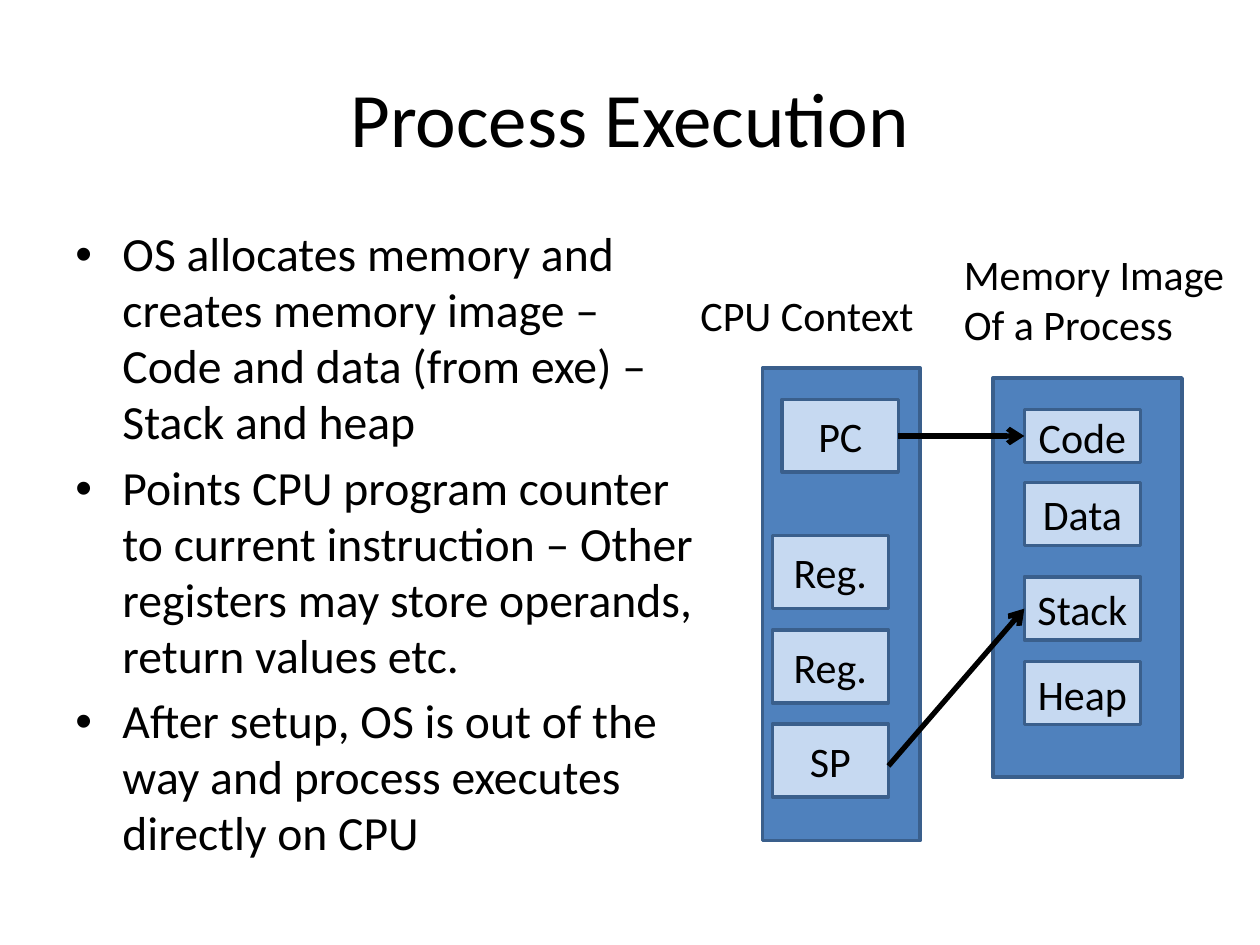
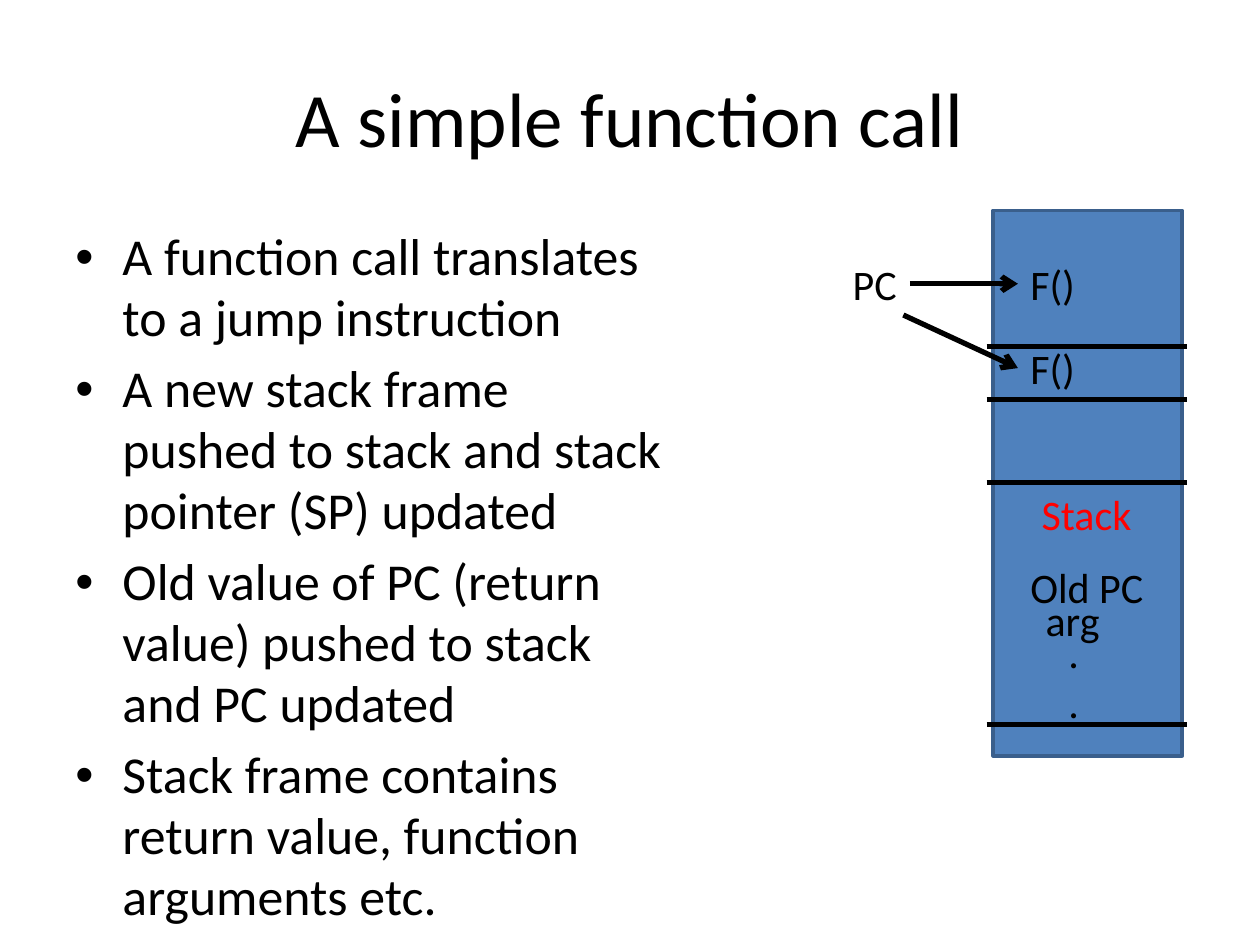
from dataclasses import dataclass

from lxml import etree
from pptx import Presentation
from pptx.dml.color import RGBColor
from pptx.enum.shapes import MSO_CONNECTOR, MSO_SHAPE
from pptx.enum.text import MSO_ANCHOR, MSO_AUTO_SIZE, PP_ALIGN
from pptx.oxml.ns import qn
from pptx.slide import Slide
from pptx.util import Cm, Pt

# Shared style
FONT = "Calibri"
BLACK, RED = "000000", "FF0000"
PANEL_FILL, CELL_FILL, OUTLINE = "4F81BD", "C6D9F1", "3A5F8C"
TITLE_SIZE, LABEL_SIZE = 44, 24
BULLET_INDENT = Cm(0.95)


# Repeated elements, all lengths in centimetres
@dataclass
class Box:
    left: float
    top: float
    width: float
    height: float
    text: str = ""
    fill: str = CELL_FILL


@dataclass
class Label:
    lines: list[str]
    left: float
    top: float
    width: float
    height: float = 1.27
    color: str = BLACK


@dataclass
class Line:
    x1: float
    y1: float
    x2: float
    y2: float
    arrow: bool = True


def rgb(color: str) -> RGBColor:
    return RGBColor.from_string(color)


def style(paragraph, size: float, color: str = BLACK) -> None:
    font = paragraph.font
    font.name, font.size = FONT, Pt(size)
    font.color.rgb = rgb(color)


def text_frame(slide: Slide, left: float, top: float, width: float, height: float):
    return slide.shapes.add_textbox(Cm(left), Cm(top), Cm(width), Cm(height)).text_frame


def add_title(slide: Slide, text: str) -> None:
    frame = text_frame(slide, 1.27, 0.76, 22.86, 3.18)
    frame.word_wrap = True
    frame.vertical_anchor = MSO_ANCHOR.MIDDLE
    frame.text = text
    heading = frame.paragraphs[0]
    heading.alignment = PP_ALIGN.CENTER
    style(heading, TITLE_SIZE)


def add_bullets(slide: Slide, points: list[str], width: float, size: float) -> None:
    frame = text_frame(slide, 1.27, 4.45, width, 12.57)
    frame.word_wrap = True
    frame.text = "\n".join(points)
    for point in frame.paragraphs:
        style(point, size)
        point.space_before = Pt(round(size * 0.2, 1))
        point.line_spacing = 0.98
        properties = point._p.get_or_add_pPr()
        properties.set("marL", str(BULLET_INDENT))
        properties.set("indent", str(-BULLET_INDENT))
        etree.SubElement(properties, qn("a:buFont")).set("typeface", "Arial")
        etree.SubElement(properties, qn("a:buChar")).set("char", "•")
        # The schema puts the bullet before the default run properties
        properties.append(properties.find(qn("a:defRPr")))


def add_box(slide: Slide, box: Box) -> None:
    rect = slide.shapes.add_shape(
        MSO_SHAPE.RECTANGLE, Cm(box.left), Cm(box.top), Cm(box.width), Cm(box.height)
    )
    rect.shadow.inherit = False
    rect.fill.solid()
    rect.fill.fore_color.rgb = rgb(box.fill)
    rect.line.color.rgb = rgb(OUTLINE)
    rect.line.width = Pt(2)
    if box.text:
        frame = rect.text_frame
        frame.word_wrap = False
        frame.vertical_anchor = MSO_ANCHOR.MIDDLE
        frame.text = box.text
        frame.paragraphs[0].alignment = PP_ALIGN.CENTER
        style(frame.paragraphs[0], LABEL_SIZE)


def add_label(slide: Slide, label: Label) -> None:
    frame = text_frame(slide, label.left, label.top, label.width, label.height)
    frame.word_wrap = False
    frame.auto_size = MSO_AUTO_SIZE.SHAPE_TO_FIT_TEXT
    frame.text = "\n".join(label.lines)
    for paragraph in frame.paragraphs:
        style(paragraph, LABEL_SIZE, label.color)


def add_line(slide: Slide, line: Line) -> None:
    connector = slide.shapes.add_connector(
        MSO_CONNECTOR.STRAIGHT, Cm(line.x1), Cm(line.y1), Cm(line.x2), Cm(line.y2)
    )
    connector.line.color.rgb = rgb(BLACK)
    connector.line.width = Pt(3)
    if line.arrow:
        outline = connector.line._get_or_add_ln()
        etree.SubElement(outline, qn("a:tailEnd")).set("type", "arrow")
    etree.SubElement(connector._element.spPr, qn("a:effectLst"))


def add_diagram(
    slide: Slide, boxes: list[Box], lines: list[Line], labels: list[Label]
) -> None:
    for box in boxes:
        add_box(slide, box)
    for line in lines:
        add_line(slide, line)
    for label in labels:
        add_label(slide, label)


deck = Presentation()
deck.slide_width, deck.slide_height = Cm(25.4), Cm(19.05)
blank = deck.slide_layouts[6]

# Slide 1: CPU context pointing into the memory image
execution = deck.slides.add_slide(blank)
add_title(execution, "Process Execution")
add_bullets(
    execution,
    [
        "OS allocates memory and creates memory image – Code and data (from exe) "
        "– Stack and heap",
        "Points CPU program counter to current instruction – Other registers may "
        "store operands, return values etc.",
        "After setup, OS is out of the way and process executes directly on CPU",
    ],
    width=13.13,
    size=27.2,
)
CELL_WIDTH, REGISTER_HEIGHT = 2.34, 1.47
memory_segments = [
    Box(20.65, top, CELL_WIDTH, height, name)
    for name, top, height in [
        ("Code", 8.26, 1.07),
        ("Data", 9.73, 1.27),
        ("Stack", 11.63, 1.27),
        ("Heap", 13.34, 1.27),
    ]
]
registers = [
    Box(15.57, 10.8 + 1.9 * row, CELL_WIDTH, REGISTER_HEIGHT, name)
    for row, name in enumerate(["Reg.", "Reg.", "SP"])
]
add_diagram(
    execution,
    boxes=[
        Box(20.02, 7.62, 3.81, 8.05, fill=PANEL_FILL),
        *memory_segments,
        Box(15.37, 7.42, 3.18, 9.53, fill=PANEL_FILL),
        Box(15.77, 8.05, CELL_WIDTH, REGISTER_HEIGHT, "PC"),
        *registers,
    ],
    lines=[Line(17.91, 15.44, 20.65, 12.27), Line(18.11, 8.79, 20.65, 8.79)],
    labels=[
        Label(["Memory Image", "Of a Process"], 19.18, 4.88, 5.82, 2.31),
        Label(["CPU Context"], 13.87, 5.72, 4.85),
    ],
)

# Slide 2: stack frame of a function call
function_call = deck.slides.add_slide(blank)
add_title(function_call, "A simple function call")
add_bullets(
    function_call,
    [
        "A function call translates to a jump instruction",
        "A new stack frame pushed to stack and stack pointer (SP) updated",
        "Old value of PC (return value) pushed to stack and PC updated",
        "Stack frame contains return value, function arguments etc.",
    ],
    width=12.5,
    size=29.6,
)
dividers = [Line(19.89, y, 23.93, y, arrow=False) for y in (6.99, 8.05, 9.73, 14.61)]
add_diagram(
    function_call,
    boxes=[Box(20.02, 4.24, 3.81, 11, fill=PANEL_FILL)],
    lines=[
        *dividers,
        Line(18.34, 5.72, 20.52, 5.72),
        Line(18.21, 6.35, 20.52, 7.42),
    ],
    labels=[
        Label(["F()"], 20.52, 5.08, 1.42),
        Label(["F()"], 20.52, 6.78, 1.42),
        Label(["Stack"], 20.75, 9.73, 2.34, color=RED),
        Label(["Old PC"], 20.52, 11.2, 2.82),
        Label(["arg"], 20.83, 11.86, 1.6),
        Label([".", "."], 21.29, 12.5, 0.74, 2.31),
        Label(["PC"], 16.94, 5.08, 1.4),
    ],
)

deck.save("out.pptx")
